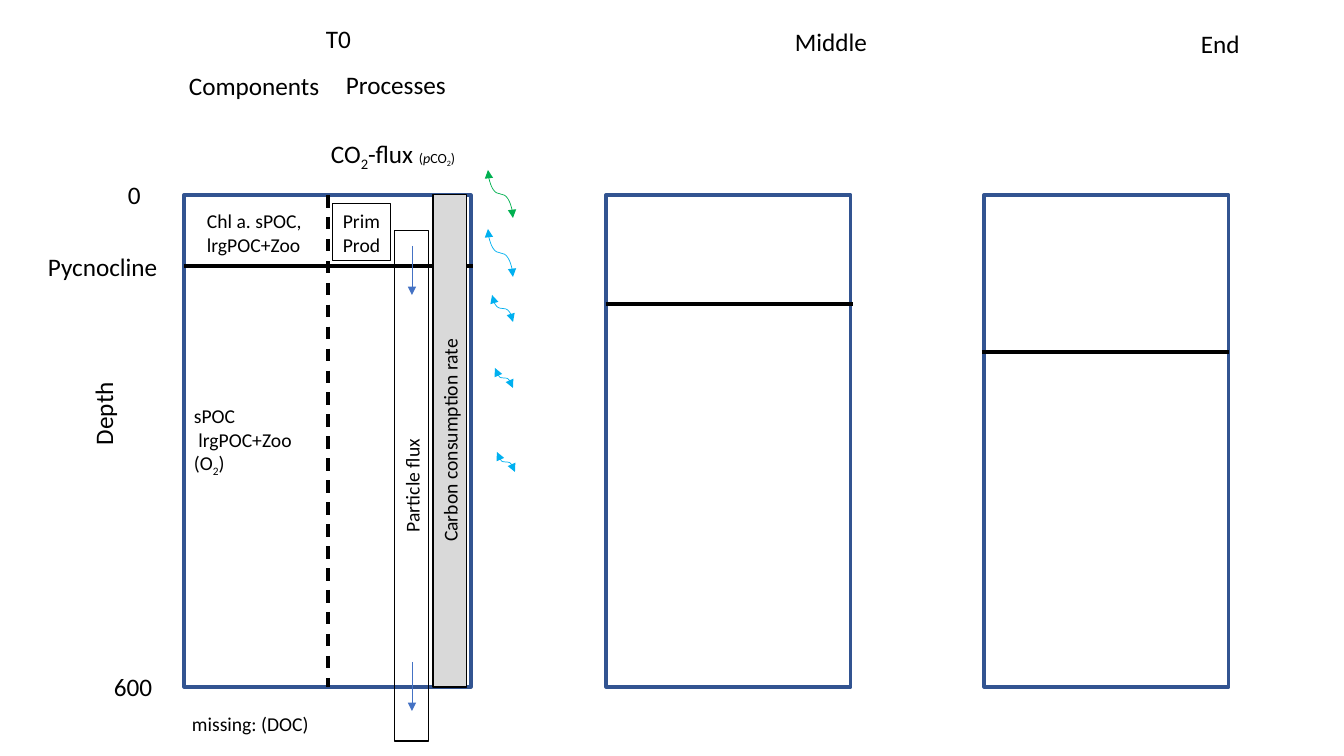
import pptx
import pptx.util
import pptx.dml.color
import pptx.enum.dml
import pptx.enum.shapes
import pptx.enum.text
import pptx.oxml.xmlchemy

EMU_PER_PIXEL = 914400 / 100.8
COLORS = {"frame": "325491", "ink": "000000", "bar": "D9D9D9",
          "surface": "00B050", "water": "00B0F0", "sinking": "4472C4"}
SUBSCRIPT = {"baseline": "-25000"}


def px(value):
    return pptx.util.Emu(round(value * EMU_PER_PIXEL))


def rgb(name):
    return pptx.dml.color.RGBColor.from_string(COLORS[name])


def shift(box, left, top, width, height):
    return box[0] + left, box[1] + top, width, height


def draw_outline(shape, color, weight):
    shape.line.color.rgb = rgb(color)
    shape.line.width = pptx.util.Pt(weight)


def write(page, box, paragraphs, size=18, wrap=False, vertical=False,
          align="LEFT", fill=None, outline=None):
    left, top, width, height = box
    if vertical:
        left, top = left + (width - height) / 2, top + (height - width) / 2
        width, height = height, width
    label = page.shapes.add_textbox(px(left), px(top), px(width), px(height))
    if vertical:
        label.rotation = 270
    if fill:
        label.fill.solid()
        label.fill.fore_color.rgb = rgb(fill)
    if outline:
        draw_outline(label, outline, 0.75)
    frame = label.text_frame
    frame.word_wrap = wrap
    frame.auto_size = pptx.enum.text.MSO_AUTO_SIZE.SHAPE_TO_FIT_TEXT
    for index, spans in enumerate(paragraphs):
        para = frame.paragraphs[0] if index == 0 else frame.add_paragraph()
        para.alignment = pptx.enum.text.PP_ALIGN[align]
        for text, style in [(spans, {})] if isinstance(spans, str) else spans:
            span = para.add_run()
            span.text = text
            span.font.name = "Calibri"
            span.font.size = pptx.util.Pt(style.get("size", size))
            span.font.italic = style.get("italic")
            span.font.color.rgb = rgb("ink")
            if "baseline" in style:
                span.font._element.set("baseline", style["baseline"])


def connect(page, start, end, color="ink", weight=2.25, heads=(),
            kind="STRAIGHT", dashed=False):
    line = page.shapes.add_connector(
        pptx.enum.shapes.MSO_CONNECTOR[kind],
        *[px(value) for value in (*start, *end)])
    draw_outline(line, color, weight)
    if dashed:
        line.line.dash_style = pptx.enum.dml.MSO_LINE.DASH
    for head in heads:
        tip = pptx.oxml.xmlchemy.OxmlElement("a:" + head)
        tip.set("type", "triangle")
        line.line._get_or_add_ln().append(tip)
    line._element.spPr.append(pptx.oxml.xmlchemy.OxmlElement("a:effectLst"))
    return line


def wave(page, left, top, width, height, color):
    middle_x, middle_y = left + width / 2, top + height / 2
    curve = connect(page, (middle_x + height / 2, middle_y - width / 2),
                    (middle_x - height / 2, middle_y + width / 2),
                    color, 0.5, ("headEnd", "tailEnd"), "CURVE")
    curve._element.spPr.xfrm.set("rot", "16200000")


def water_column(page, box, pycnocline, line_start, line_end):
    left, top = box[:2]
    frame = page.shapes.add_shape(pptx.enum.shapes.MSO_SHAPE.RECTANGLE,
                                  *[px(value) for value in box])
    frame.shadow.inherit = False
    frame.fill.background()
    draw_outline(frame, "frame", 2.25)
    connect(page, (left + line_start, top + pycnocline),
            (left + line_end, top + pycnocline))


def headings(page, box):
    for text, place in [("T0", (316, 18, 45, 40)),
                        ("Components", (179, 65, 152, 40)),
                        ("Processes", (336, 64, 121, 40)),
                        ("Middle", (785, 21, 94, 40)),
                        ("End", (1191, 23, 59, 40))]:
        write(page, shift(box, *place), [text])


def depth_axis(page, box):
    for text, place in [("0", (80, 0, 33, 40)),
                        ("Pycnocline", (0, 72, 131, 40)),
                        ("600", (66, 492, 59, 40))]:
        write(page, shift(box, *place), [text])
    write(page, shift(box, 45, 197, 40, 84), ["Depth"], vertical=True)


def components(page, box):
    write(page, shift(box, 13, 9, 122, 57), ["Chl a. sPOC, lrgPOC+Zoo"],
          size=14, wrap=True)
    write(page, shift(box, 0, 204, 130, 82),
          ["sPOC", " lrgPOC+Zoo", [("(O", {}), ("2", SUBSCRIPT), (")", {})]],
          size=14, wrap=True)
    write(page, shift(box, -2, 512, 138, 34), ["missing: (DOC)"], size=14)


def processes(page, box):
    left, top, width, height = box
    small = {"size": 10}
    write(page, shift(box, -7, -62, 152, 40),
          [[("CO", {}), ("2", SUBSCRIPT), ("-flux ", {}), ("(", small),
            ("p", {**small, "italic": True}), ("CO", small),
            ("2", {**small, **SUBSCRIPT}), (")", small)]])
    write(page, shift(box, 5, 9, 58, 57), ["Prim", "Prod"],
          size=14, outline="ink")
    for text, place, fill in [
            ("Carbon consumption rate", (105, -1, 34, 493), "bar"),
            ("Particle flux", (67, 35, 34, 511), None)]:
        write(page, shift(box, *place), [text], size=14, wrap=True,
              vertical=True, align="CENTER", fill=fill, outline="ink")
    for arrow_top in (51, 467):
        connect(page, (left + 84, top + arrow_top),
                (left + 84, top + arrow_top + 49),
                "sinking", 0.5, ("tailEnd",))
    connect(page, (left, top), (left, top + height), dashed=True)


def mixing(page, box):
    for color, place in [("surface", (0, 0, 25, 48)),
                         ("water", (0, 59, 25, 48)),
                         ("water", (4, 125, 21, 27)),
                         ("water", (7, 198, 18, 20)),
                         ("water", (9, 282, 18, 20))]:
        wave(page, *shift(box, *place), color)


deck = pptx.Presentation()
deck.slide_width, deck.slide_height = px(1344), px(756)
page = deck.slides.add_slide(deck.slide_layouts[6])

for column, pycnocline, line_start, line_end in [
        ((184, 195, 287, 492), 71, 0, 289),
        ((606, 195, 245, 492), 109, 0, 247),
        ((984, 195, 245, 492), 157, -2, 245)]:
    water_column(page, column, pycnocline, line_start, line_end)
headings(page, (0, 0, 1344, 120))
depth_axis(page, (38, 174, 131, 532))
components(page, (184, 195, 144, 492))
processes(page, (328, 195, 143, 492))
mixing(page, (488, 170, 27, 302))
deck.save("out.pptx")
